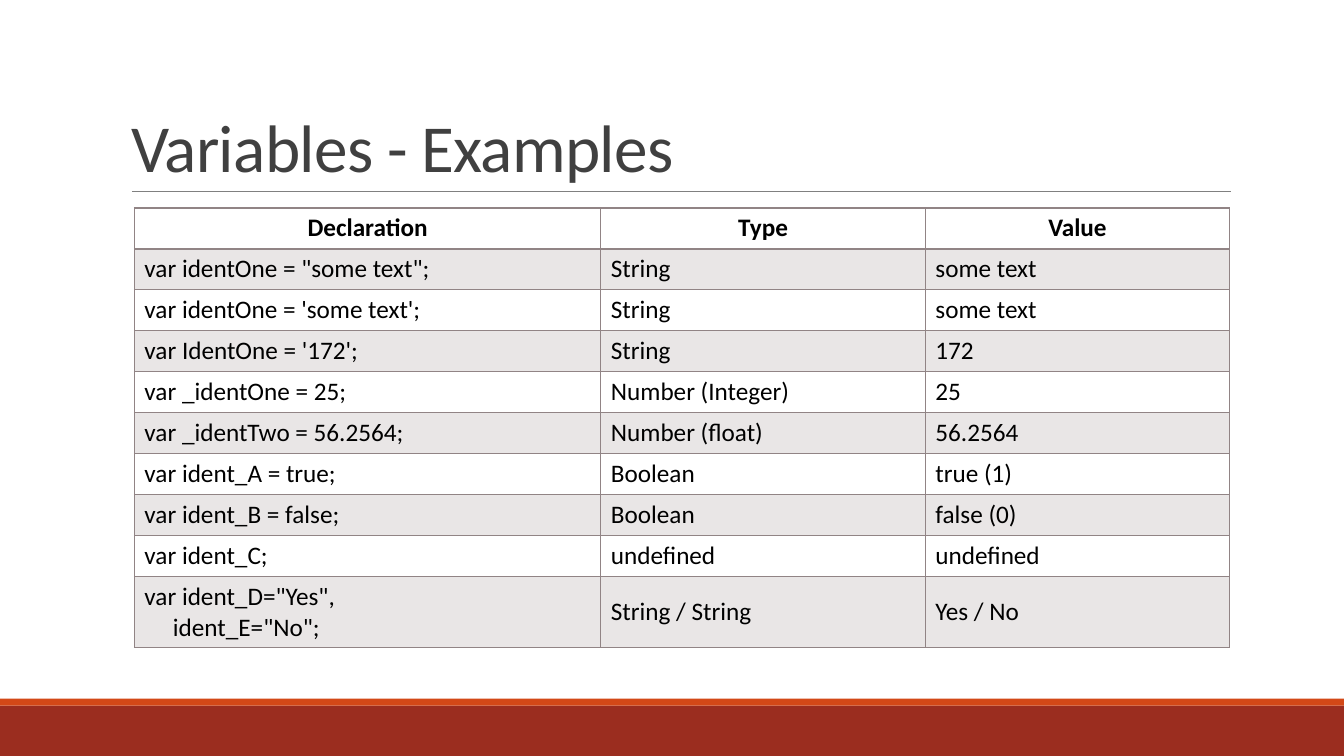
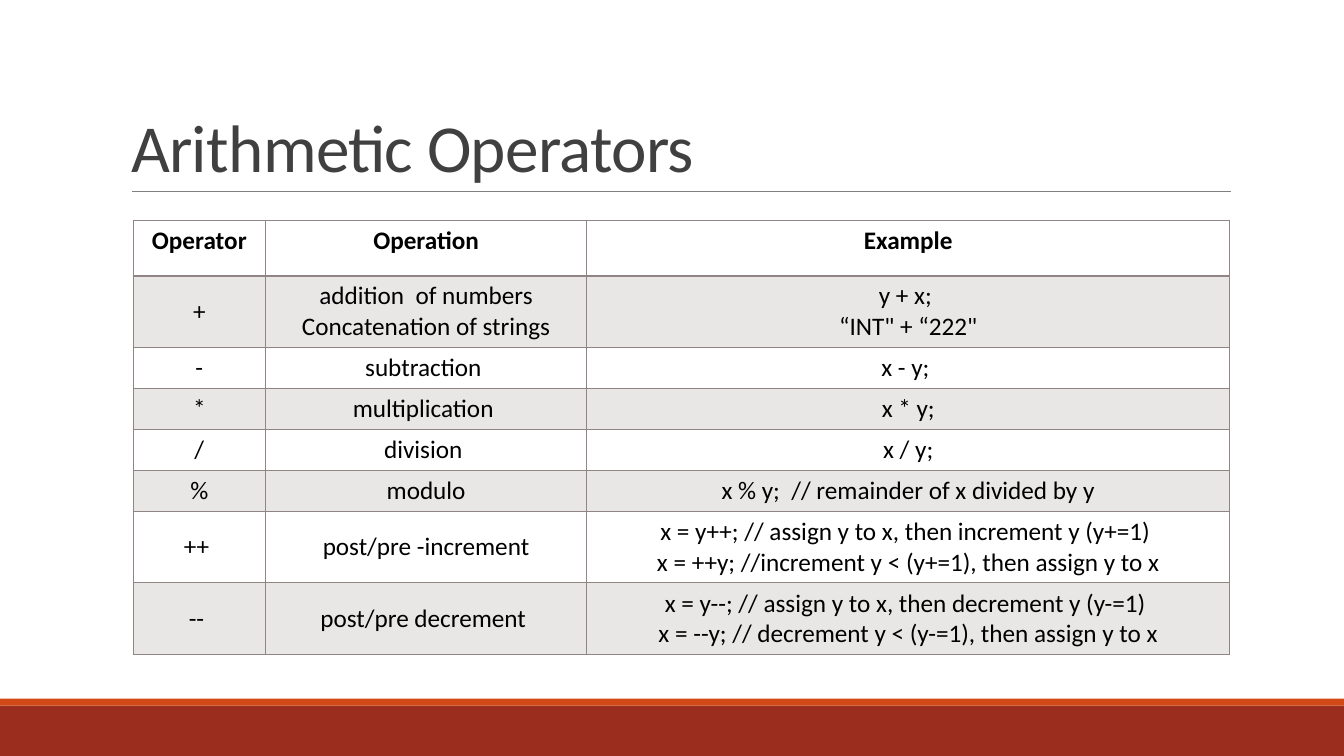
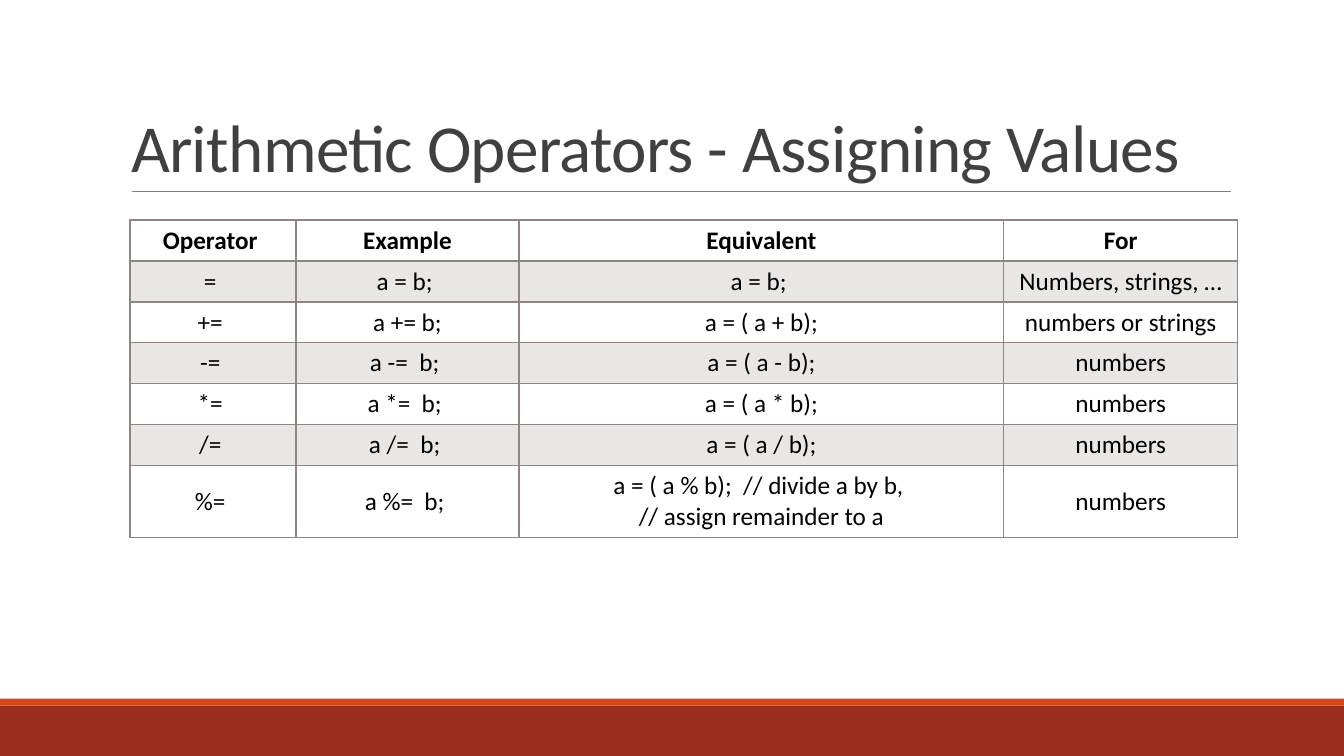
"""Build three slides on JavaScript variables and arithmetic operators, each a title over a table."""
from dataclasses import dataclass

from lxml import etree
from pptx import Presentation
from pptx.dml.color import RGBColor
from pptx.enum.shapes import MSO_CONNECTOR, MSO_SHAPE
from pptx.enum.text import MSO_ANCHOR, PP_ALIGN
from pptx.oxml.ns import qn
from pptx.presentation import Presentation as Deck
from pptx.slide import Slide
from pptx.table import _Cell
from pptx.text.text import _Paragraph
from pptx.util import Pt

LEFT, CENTER = PP_ALIGN.LEFT, PP_ALIGN.CENTER
TOP, MIDDLE, BOTTOM = MSO_ANCHOR.TOP, MSO_ANCHOR.MIDDLE, MSO_ANCHOR.BOTTOM
RECTANGLE, STRAIGHT = MSO_SHAPE.RECTANGLE, MSO_CONNECTOR.STRAIGHT

FONT = "Calibri"
TITLE_COLOR, TEXT_COLOR, RULE_COLOR = "404040", "000000", "808080"
GRID_COLOR = "918485"
STRIPE_ALPHA = 20000
SLIDE_WIDTH, SLIDE_HEIGHT = 960, 540
ONE_LINE, TWO_LINES = 29.25, 51.25
CONTINUATION_INDENT = 20.3


@dataclass(frozen=True)
class Band:
    top: float
    height: float
    color: str


@dataclass(frozen=True)
class TableSlide:
    title: str
    left: float
    top: float
    widths: tuple[float, ...]
    rows: tuple[tuple[str, ...], ...]
    header_height: float = ONE_LINE
    body_align: PP_ALIGN = CENTER


BANDS = (Band(504, 36, "9B2D1F"), Band(499, 5, "D34817"))

SLIDES = (
    TableSlide(
        "Variables - Examples", 96, 148.5, (333.2, 231.8, 217.4),
        (
            ("Declaration", "Type", "Value"),
            ('var identOne = "some text";', "String", "some text"),
            ("var identOne = 'some text';", "String", "some text"),
            ("var IdentOne = '172';", "String", "172"),
            ("var _identOne = 25;", "Number (Integer)", "25"),
            ("var _identTwo = 56.2564;", "Number (float)", "56.2564"),
            ("var ident_A = true;", "Boolean", "true (1)"),
            ("var ident_B = false;", "Boolean", "false (0)"),
            ("var ident_C;", "undefined", "undefined"),
            ('var ident_D="Yes",\nident_E="No";', "String / String", "Yes / No"),
        ),
        body_align=LEFT,
    ),
    TableSlide(
        "Arithmetic Operators", 95.2, 157.4, (94.4, 229.6, 459.2),
        (
            ("Operator", "Operation", "Example"),
            ("+", "addition  of numbers\nConcatenation of strings",
             "y + x; \n\u201cINT\" + \u201c222\""),
            ("-", "subtraction ", "x - y; "),
            ("*", "multiplication ", "x * y;"),
            ("/", "division ", "x / y;"),
            ("%", "modulo", "x % y;  // remainder of x divided by y"),
            ("++ ", "post/pre -increment",
             "x = y++; // assign y to x, then increment y (y+=1) \n"
             "x = ++y; //increment y < (y+=1), then assign y to x"),
            ("-- ", "post/pre decrement ",
             "x = y--; // assign y to x, then decrement y (y-=1) \n"
             "x = --y; // decrement y < (y-=1), then assign y to x"),
        ),
        header_height=39.6,
    ),
    TableSlide(
        "Arithmetic Operators - Assigning Values", 92.9, 157.2,
        (118.6, 159.2, 346.4, 167),
        (
            ("Operator ", "Example", "Equivalent", "For"),
            ("= ", "a = b; ", "a = b; ", "Numbers, strings, \u2026"),
            ("+= ", "a += b;", "a = ( a + b);", "numbers or strings"),
            ("-= ", "a -=  b; ", "a = ( a - b);", "numbers"),
            ("*= ", "a *=  b; ", "a = ( a * b);", "numbers"),
            ("/= ", "a /=  b; ", "a = ( a / b);", "numbers"),
            ("%= ", "a %=  b; ",
             "a = ( a % b);  // divide a by b, \n// assign remainder to a", "numbers"),
        ),
    ),
)


def rgb(color: str) -> RGBColor:
    return RGBColor.from_string(color)


def set_font(paragraph: _Paragraph, size: float, color: str, bold: bool = False) -> None:
    font = paragraph.font
    font.name, font.size, font.bold = FONT, Pt(size), bold
    font.color.rgb = rgb(color)


def add_frame(slide: Slide) -> None:
    for band in BANDS:
        strip = slide.shapes.add_shape(
            RECTANGLE, 0, Pt(band.top), Pt(SLIDE_WIDTH), Pt(band.height))
        strip.shadow.inherit = False
        strip.fill.solid()
        strip.fill.fore_color.rgb = rgb(band.color)
        strip.line.fill.background()
    rule = slide.shapes.add_connector(STRAIGHT, Pt(94.3), Pt(136.8), Pt(879), Pt(136.8))
    rule.line.color.rgb = rgb(RULE_COLOR)
    rule.line.width = Pt(0.5)
    etree.SubElement(rule._element.spPr, qn("a:effectLst"))


def add_title(slide: Slide, title: str) -> None:
    heading = slide.shapes.add_textbox(Pt(86.6), Pt(22.6), Pt(792), Pt(114.2)).text_frame
    heading.word_wrap = True
    heading.vertical_anchor = BOTTOM
    paragraph = heading.paragraphs[0]
    paragraph.text = title
    paragraph.line_spacing = 0.85
    set_font(paragraph, 48, TITLE_COLOR)
    paragraph._p.get_or_add_pPr().get_or_add_defRPr().set("spc", "-50")


def set_borders(cell: _Cell, top: float, bottom: float) -> None:
    properties = cell._tc.get_or_add_tcPr()
    for side, width in (("L", 1), ("R", 1), ("T", top), ("B", bottom)):
        edge = etree.SubElement(properties, qn(f"a:ln{side}"), w=str(Pt(width)))
        paint = etree.SubElement(edge, qn("a:solidFill"))
        etree.SubElement(paint, qn("a:srgbClr"), val=GRID_COLOR)


def set_stripe(cell: _Cell) -> None:
    cell.fill.solid()
    cell.fill.fore_color.rgb = rgb(GRID_COLOR)
    tint = cell._tc.tcPr.find(f"{qn('a:solidFill')}/{qn('a:srgbClr')}")
    etree.SubElement(tint, qn("a:alpha"), val=str(STRIPE_ALPHA))


def fill_cell(cell: _Cell, text: str, row: int, body_align: PP_ALIGN) -> None:
    is_header = row == 0
    set_borders(cell, top=2 if row == 1 else 1, bottom=2 if is_header else 1)
    if row % 2:
        set_stripe(cell)
    else:
        cell.fill.background()
    cell.vertical_anchor = TOP if is_header else MIDDLE
    cell.text = text
    for line, paragraph in enumerate(cell.text_frame.paragraphs):
        paragraph.alignment = CENTER if is_header else body_align
        set_font(paragraph, 18, TEXT_COLOR, bold=is_header)
        if line and body_align == LEFT:
            paragraph._p.get_or_add_pPr().set("marL", str(Pt(CONTINUATION_INDENT)))


def row_height(content: TableSlide, row: int) -> float:
    if row == 0:
        return content.header_height
    return TWO_LINES if any("\n" in text for text in content.rows[row]) else ONE_LINE


def add_grid(slide: Slide, content: TableSlide) -> None:
    heights = [row_height(content, row) for row in range(len(content.rows))]
    table = slide.shapes.add_table(
        len(heights), len(content.widths), Pt(content.left), Pt(content.top),
        Pt(sum(content.widths)), Pt(sum(heights))).table
    table.horz_banding = False
    for column, width in zip(table.columns, content.widths):
        column.width = Pt(width)
    for row, (texts, height) in enumerate(zip(content.rows, heights)):
        table.rows[row].height = Pt(height)
        for column, text in enumerate(texts):
            fill_cell(table.cell(row, column), text, row, content.body_align)


def build_slide(deck: Deck, content: TableSlide) -> None:
    slide = deck.slides.add_slide(deck.slide_layouts[6])
    add_frame(slide)
    add_title(slide, content.title)
    add_grid(slide, content)


def main() -> None:
    deck = Presentation()
    deck.slide_width, deck.slide_height = Pt(SLIDE_WIDTH), Pt(SLIDE_HEIGHT)
    for content in SLIDES:
        build_slide(deck, content)
    deck.save("out.pptx")


main()
